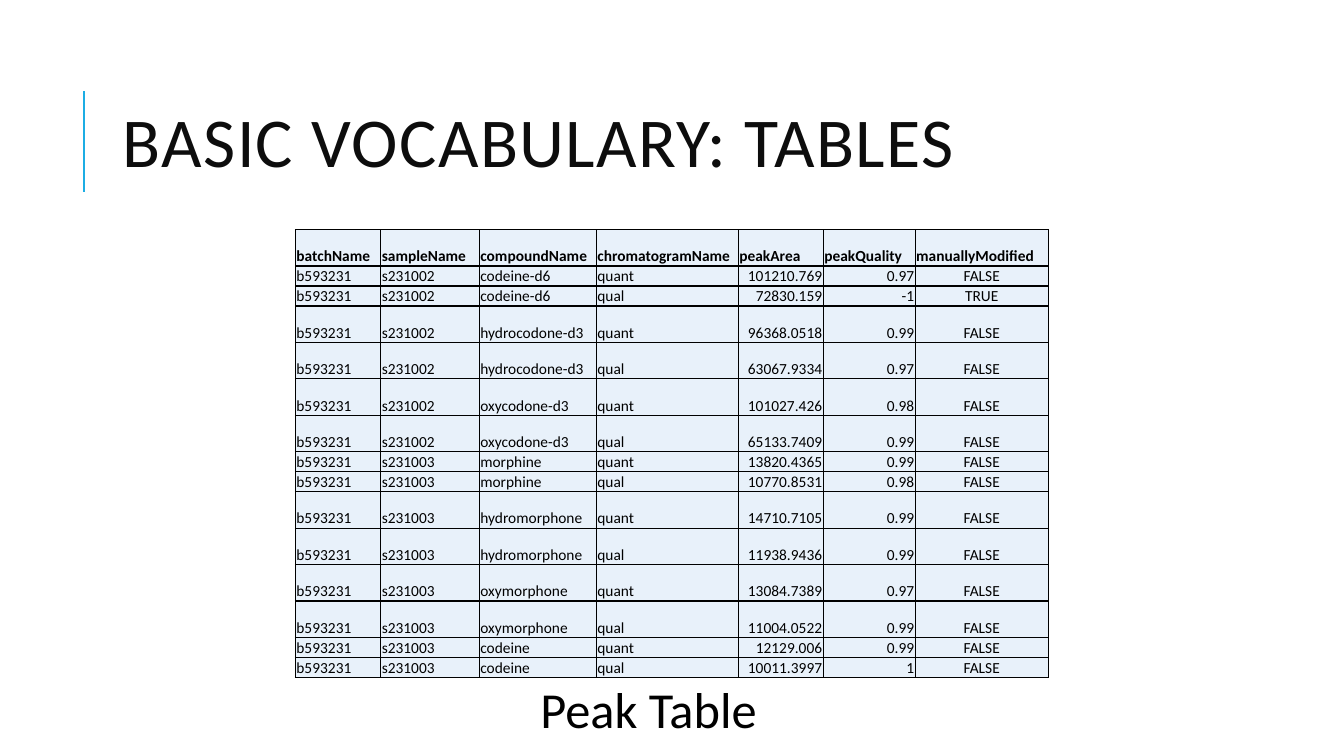
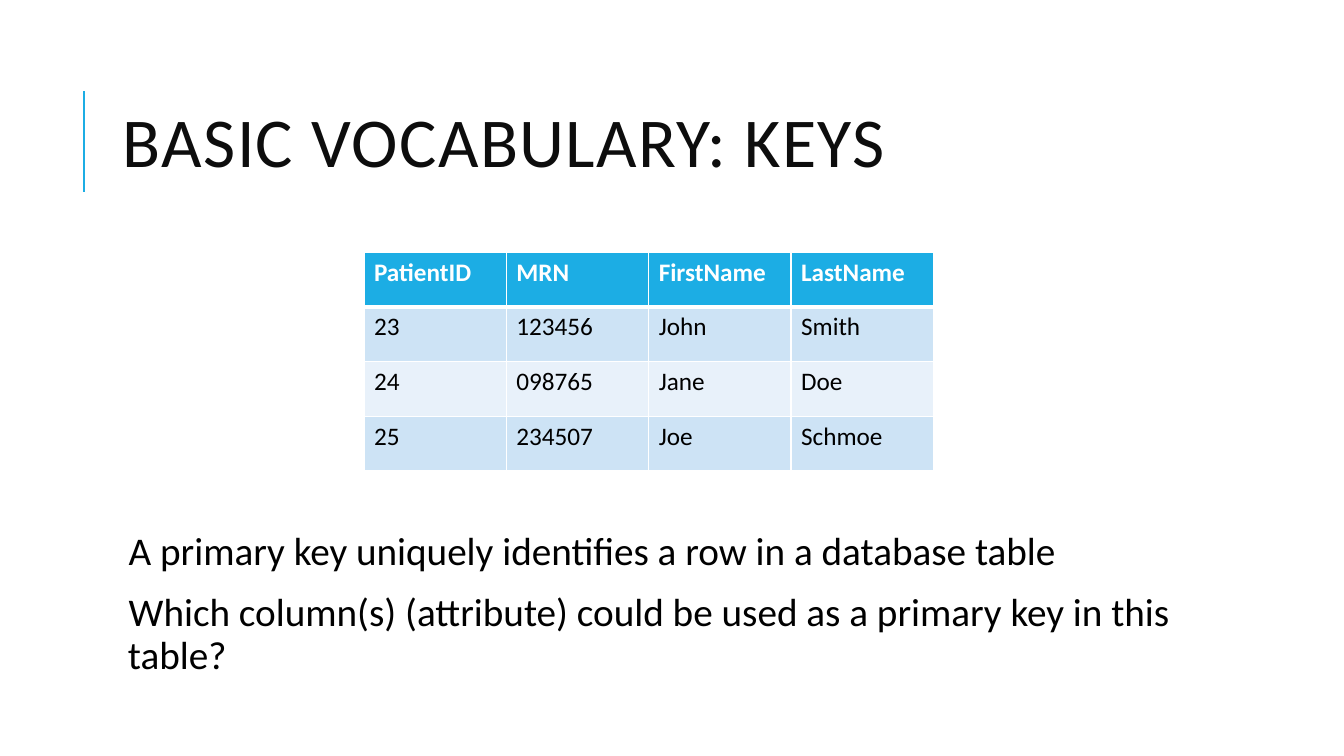
"""Build two slides on basic database vocabulary: tables and keys."""
from dataclasses import dataclass

from lxml.etree import SubElement
from pptx import Presentation
from pptx.dml.color import RGBColor
from pptx.enum.shapes import MSO_CONNECTOR
from pptx.enum.text import MSO_ANCHOR, MSO_AUTO_SIZE, PP_ALIGN
from pptx.oxml import parse_xml
from pptx.oxml.ns import nsdecls, qn
from pptx.util import Pt


@dataclass(frozen=True)
class Theme:
    font: str = "Calibri"
    accent: str = "1CADE4"
    title: str = "0D0D0D"
    text: str = "000000"
    white: str = "FFFFFF"
    band_dark: str = "CDE3F5"
    band_light: str = "E8F1FA"
    title_size: int = 50
    caption_size: int = 36
    body_size: int = 28
    key_size: int = 18
    peak_size: int = 11


THEME = Theme()
CONTENT_LEFT, CONTENT_WIDTH = 80.6, 765.4
TITLE_ONLY, TITLE_AND_BODY = 5, 1

PEAK_TITLE = "BASIC VOCABULARY: TABLES"
PEAK_CAPTION = "Peak Table"
PEAK_HEADER = ("batchName", "sampleName", "compoundName", "chromatogramName",
               "peakArea", "peakQuality", "manuallyModified")
BATCH = "b593231"
PEAKS = [
    ("s231002", "codeine-d6", "quant", "101210.769", "0.97", "FALSE"),
    ("s231002", "codeine-d6", "qual", "72830.159", "-1", "TRUE"),
    ("s231002", "hydrocodone-d3", "quant", "96368.0518", "0.99", "FALSE"),
    ("s231002", "hydrocodone-d3", "qual", "63067.9334", "0.97", "FALSE"),
    ("s231002", "oxycodone-d3", "quant", "101027.426", "0.98", "FALSE"),
    ("s231002", "oxycodone-d3", "qual", "65133.7409", "0.99", "FALSE"),
    ("s231003", "morphine", "quant", "13820.4365", "0.99", "FALSE"),
    ("s231003", "morphine", "qual", "10770.8531", "0.98", "FALSE"),
    ("s231003", "hydromorphone", "quant", "14710.7105", "0.99", "FALSE"),
    ("s231003", "hydromorphone", "qual", "11938.9436", "0.99", "FALSE"),
    ("s231003", "oxymorphone", "quant", "13084.7389", "0.97", "FALSE"),
    ("s231003", "oxymorphone", "qual", "11004.0522", "0.99", "FALSE"),
    ("s231003", "codeine", "quant", "12129.006", "0.99", "FALSE"),
    ("s231003", "codeine", "qual", "10011.3997", "1", "FALSE"),
]
PEAK_WIDTHS = (61, 70.4, 83.6, 101.4, 60.7, 65.7, 95)
PEAK_ALIGNMENTS = [PP_ALIGN.LEFT] * 4 + [PP_ALIGN.RIGHT] * 2 + [PP_ALIGN.CENTER]
SHORT_COMPOUNDS = ("codeine-d6", "morphine", "codeine")
TALL_ROW, SHORT_ROW = 26, 14.2

KEY_TITLE = "BASIC VOCABULARY: KEYS"
PATIENTS = [
    ("PatientID", "MRN", "FirstName", "LastName"),
    ("23", "123456", "John", "Smith"),
    ("24", "098765", "Jane", "Doe"),
    ("25", "234507", "Joe", "Schmoe"),
]
KEY_POINTS = [
    "A primary key uniquely identifies a row in a database table",
    "Which column(s) (attribute) could be used as a primary key in this table?",
]


def rgb(value):
    return RGBColor.from_string(value)


def style_paragraph(para, size, color, bold=False, alignment=PP_ALIGN.LEFT):
    para.alignment = alignment
    for span in para.runs:
        span.font.name = THEME.font
        span.font.size = Pt(size)
        span.font.bold = bold
        span.font.color.rgb = rgb(color)


def place(box, left, top, width, height):
    box.left, box.top, box.width, box.height = map(Pt, (left, top, width, height))


def set_insets(target, left, top, right, bottom):
    target.margin_left, target.margin_top = Pt(left), Pt(top)
    target.margin_right, target.margin_bottom = Pt(right), Pt(bottom)


def add_titled_slide(deck, layout, text):
    page = deck.slides.add_slide(deck.slide_layouts[layout])
    for holder in list(page.placeholders):
        if holder.placeholder_format.idx >= 10:
            holder.element.getparent().remove(holder.element)
    rule = page.shapes.add_connector(MSO_CONNECTOR.STRAIGHT, Pt(60), Pt(136.8), Pt(60), Pt(64.8))
    rule.line.color.rgb = rgb(THEME.accent)
    rule.line.width = Pt(1.5)
    SubElement(rule.element.spPr, qn("a:effectLst"))

    title = page.shapes.title
    place(title, CONTENT_LEFT, 46.1, CONTENT_WIDTH, 118.1)
    frame = title.text_frame
    frame.text = text
    frame.word_wrap = True
    frame.auto_size = MSO_AUTO_SIZE.NONE
    frame.vertical_anchor = MSO_ANCHOR.MIDDLE
    para = frame.paragraphs[0]
    para.line_spacing = 0.8
    style_paragraph(para, THEME.title_size, THEME.title)
    para.runs[0].font._element.set("spc", "100")
    return page


def set_borders(cell, color, top=1, bottom=1):
    sides = {"lnL": 1, "lnR": 1, "lnT": top, "lnB": bottom}
    properties = cell._tc.get_or_add_tcPr()
    for position, (side, width) in enumerate(sides.items()):
        properties.insert(position, parse_xml(
            f'<a:{side} {nsdecls("a")} w="{Pt(width)}"><a:solidFill>'
            f'<a:srgbClr val="{color}"/></a:solidFill></a:{side}>'))


def add_grid(page, left, top, widths, heights, rows, style_cell):
    grid = page.shapes.add_table(len(rows), len(widths), Pt(left), Pt(top),
                                 Pt(sum(widths)), Pt(sum(heights))).table
    grid.first_row = grid.horz_banding = False
    for column, width in zip(grid.columns, widths):
        column.width = Pt(width)
    for row, height in zip(grid.rows, heights):
        row.height = Pt(height)
    for row_index, values in enumerate(rows):
        for column_index, value in enumerate(values):
            cell = grid.cell(row_index, column_index)
            cell.text_frame.text = value
            cell.fill.solid()
            style_cell(cell, row_index, column_index)


def style_peak_cell(cell, row, column):
    header = row == 0
    cell.fill.fore_color.rgb = rgb(THEME.band_light)
    cell.vertical_anchor = MSO_ANCHOR.BOTTOM
    set_insets(cell, 0.72, 0.72, 0.72, 0)
    alignment = PP_ALIGN.LEFT if header else PEAK_ALIGNMENTS[column]
    style_paragraph(cell.text_frame.paragraphs[0], THEME.peak_size, THEME.text, header, alignment)
    set_borders(cell, THEME.text)


def style_key_cell(cell, row, column):
    header = row == 0
    band = THEME.band_dark if row % 2 else THEME.band_light
    cell.fill.fore_color.rgb = rgb(THEME.accent if header else band)
    color = THEME.white if header else THEME.text
    style_paragraph(cell.text_frame.paragraphs[0], THEME.key_size, color, header)
    set_borders(cell, THEME.white, top=3 if row == 1 else 1, bottom=3 if header else 1)


def build_tables_slide(deck):
    page = add_titled_slide(deck, TITLE_ONLY, PEAK_TITLE)
    rows = [PEAK_HEADER] + [(BATCH, *peak) for peak in PEAKS]
    heights = [SHORT_ROW if row[2] in SHORT_COMPOUNDS else TALL_ROW for row in rows]
    add_grid(page, 211, 164, PEAK_WIDTHS, heights, rows, style_peak_cell)

    caption = page.shapes.add_textbox(Pt(257.8), Pt(481), Pt(411), Pt(51))
    frame = caption.text_frame
    frame.word_wrap = True
    frame.text = PEAK_CAPTION
    style_paragraph(frame.paragraphs[0], THEME.caption_size, THEME.text,
                    alignment=PP_ALIGN.CENTER)


def build_keys_slide(deck):
    page = add_titled_slide(deck, TITLE_AND_BODY, KEY_TITLE)
    body = page.placeholders[1]
    place(body, CONTENT_LEFT, 375.8, CONTENT_WIDTH, 121)
    frame = body.text_frame
    frame.text = "\n".join(KEY_POINTS)
    frame.word_wrap = True
    frame.auto_size = MSO_AUTO_SIZE.NONE
    set_insets(frame, 3.6, 3.6, 3.6, 3.6)
    for para in frame.paragraphs:
        style_paragraph(para, THEME.body_size, THEME.text)
        para.line_spacing = 0.9
        para.space_before, para.space_after = Pt(12), Pt(2)
        properties = para._p.get_or_add_pPr()
        properties.set("marL", str(Pt(7.2)))
        properties.set("indent", str(-Pt(7.2)))
        SubElement(properties, qn("a:buChar")).set("char", " ")

    add_grid(page, 260, 180, [101.7] * len(PATIENTS[0]), [39.1] * len(PATIENTS),
             PATIENTS, style_key_cell)


def main():
    deck = Presentation()
    deck.slide_width, deck.slide_height = Pt(960), Pt(540)
    build_tables_slide(deck)
    build_keys_slide(deck)
    deck.save("out.pptx")


if __name__ == "__main__":
    main()
